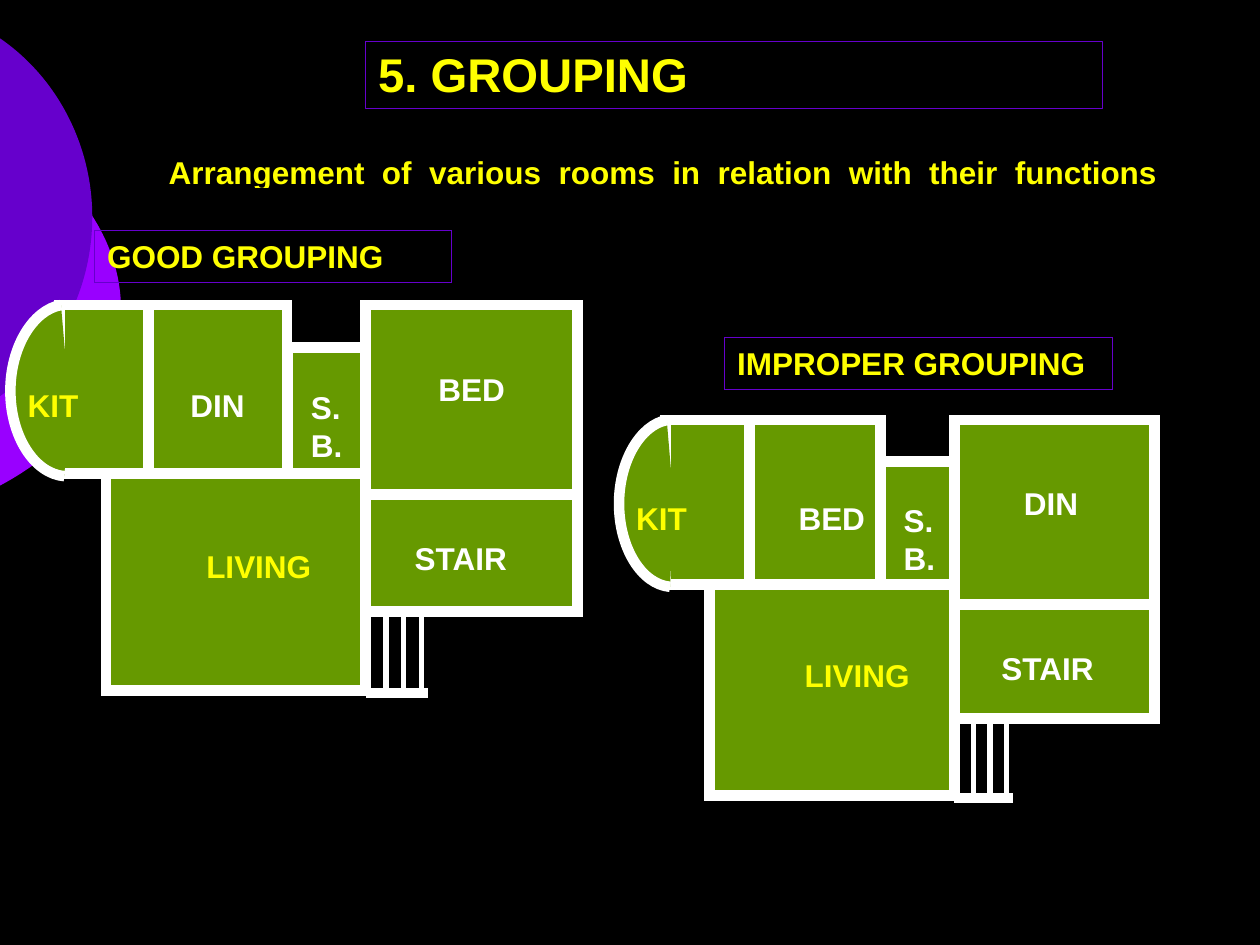
from dataclasses import dataclass

from lxml import etree
from pptx import Presentation
from pptx import util as u
from pptx.dml.color import RGBColor
from pptx.enum import shapes, text
from pptx.oxml import ns


@dataclass(frozen=True)
class Theme:
    font: str = "Arial"
    black: str = "000000"
    white: str = "FFFFFF"
    yellow: str = "FFFF00"
    green: str = "669900"
    purple: str = "6600CC"
    violet: str = "9900FF"
    title: int = 27
    body: int = 18
    wall: float = 6
    tread: float = 3
    frame: float = 0.75


T = Theme()


@dataclass(frozen=True)
class Plan:
    """Place and scale of a floor plan; lengths in cm."""
    left: float
    top: float
    sx: float = 1
    sy: float = 1

    def at(self, x, y):
        return self.left + x * self.sx, self.top + y * self.sy

    def box(self, x, y, w, h):
        return *self.at(x, y), w * self.sx, h * self.sy


# Floor plan in its own coordinates: left, top, width, height
ROOMS = [
    (1.93, 3.40, 5.23, 4.37),  # living
    (2.79, 0, 2.79, 3.40),     # middle room
    (0.99, 0, 1.80, 3.40),     # kitchen
    (7.16, 0, 4.27, 3.83),     # large room
    (7.16, 3.82, 4.27, 2.36),  # stair
    (5.59, 0.86, 1.57, 2.54),  # S.B.
]
BAY = [(1.02, 0), (0.46, 0.10), (0, 0.84), (0, 1.73),
       (0, 2.64), (0.48, 3.40), (1.09, 3.45)]
BAY_CENTRE = (1.17, 1.73)
STEP_LEFT, STEP_RIGHT, STEP_TOP, STEP_BOTTOM = 7.16, 8.41, 6.18, 7.82
TREADS = [7.57, 8.28, 7.92]

# Background discs: colour, box, visible edge inside the box
DISCS = [
    (T.violet, (-8.99, 1.91, 11.43, 8.69),
     [(8.97, 0.78), (10.51, 1.60), (11.43, 2.92), (11.43, 4.34),
      (11.43, 5.76), (10.51, 7.08), (8.97, 7.89)]),
    (T.purple, (-6.73, 0, 8.59, 8.76),
     [(6.71, 0.76), (7.90, 1.57), (8.59, 2.95), (8.59, 4.37),
      (8.59, 5.82), (7.90, 7.19), (6.71, 8.00)]),
]


def rgb(colour):
    return RGBColor.from_string(colour)


def paint(sp, fill=None, line=None, width=T.frame):
    sp.shadow.inherit = False
    if fill:
        sp.fill.solid()
        sp.fill.fore_color.rgb = rgb(fill)
    else:
        sp.fill.background()
    if line:
        sp.line.color.rgb = rgb(line)
        sp.line.width = u.Pt(width)
        ln = sp._element.spPr.find(ns.qn("a:ln"))
        etree.SubElement(ln, ns.qn("a:miter"), lim="800000")
    else:
        sp.line.fill.background()


def write(tf, words, colour, size=T.body):
    r = tf.paragraphs[0].add_run()
    r.text = words
    r.font.name, r.font.size, r.font.bold = T.font, u.Pt(size), True
    r.font.color.rgb = rgb(colour)


def add_rect(s, x, y, w, h, **style):
    sp = s.shapes.add_shape(shapes.MSO_SHAPE.RECTANGLE,
                            u.Cm(x), u.Cm(y), u.Cm(w), u.Cm(h))
    paint(sp, **style)
    return sp


def add_text(s, words, x, y, w, h=1.02, colour=T.yellow):
    sp = s.shapes.add_textbox(u.Cm(x), u.Cm(y), u.Cm(w), u.Cm(h))
    tf = sp.text_frame
    tf.word_wrap = True
    tf.auto_size = text.MSO_AUTO_SIZE.SHAPE_TO_FIT_TEXT
    write(tf, words, colour)
    return sp


def add_heading(s, words, x, y, w):
    sp = add_rect(s, x, y, w, 1.04, line=T.purple)
    tf = sp.text_frame
    tf.word_wrap = True
    tf.vertical_anchor = text.MSO_ANCHOR.TOP
    tf.paragraphs[0].alignment = text.PP_ALIGN.LEFT
    write(tf, words, T.yellow)


def add_line(s, start, end, width):
    ends = [u.Cm(v) for v in (*start, *end)]
    cn = s.shapes.add_connector(shapes.MSO_CONNECTOR.STRAIGHT, *ends)
    cn.line.color.rgb = rgb(T.white)
    cn.line.width = u.Pt(width)
    etree.SubElement(cn._element.spPr, ns.qn("a:effectLst"))


def add_curve(s, box, size, paths, **style):
    """Freeform of Bezier curves; each path is (curve, corners, attributes)."""
    x, y, w, h = (u.Cm(v) for v in box)
    fb = s.shapes.build_freeform(x, y)
    fb.add_line_segments([(x + w, y + h)], close=False)
    sp = fb.convert_to_shape()
    path_list = sp._element.spPr.find(".//" + ns.qn("a:pathLst"))
    path_list.clear()
    w, h = (str(round(v * 100)) for v in size)
    for points, corners, attributes in paths:
        path = etree.SubElement(path_list, ns.qn("a:path"),
                                w=w, h=h, **attributes)
        parts = [("a:moveTo", points[:1])]
        parts += [("a:cubicBezTo", points[i:i + 3])
                  for i in range(1, len(points), 3)]
        parts += [("a:lnTo", [p]) for p in corners]
        for tag, pts in parts:
            part = etree.SubElement(path, ns.qn(tag))
            for px, py in pts:
                etree.SubElement(part, ns.qn("a:pt"), x=str(round(px * 100)),
                                 y=str(round(py * 100)))
        if attributes.get("fill") != "none":
            etree.SubElement(path, ns.qn("a:close"))
    paint(sp, **style)


def add_plan(s, plan, middle, large):
    group = s.shapes.add_group_shape()
    wall = dict(fill=T.green, line=T.white, width=T.wall)

    # Rooms and the rounded kitchen bay
    for i, room in enumerate(ROOMS):
        if i == 3:
            size = (1.17, 3.45)
            add_curve(group, plan.box(0, 0, *size), size,
                      [(BAY, [], {"fill": "none"}),
                       (BAY, [BAY_CENTRE], {"stroke": "0"})], **wall)
        add_rect(group, *plan.box(*room), **wall)

    # Entrance steps
    add_line(group, plan.at(STEP_LEFT, STEP_BOTTOM),
             plan.at(STEP_RIGHT, STEP_BOTTOM), T.wall)
    for x in TREADS:
        add_line(group, plan.at(x, STEP_TOP), plan.at(x, STEP_BOTTOM), T.tread)

    # Room names
    for words, x, y, w, h, colour in [
        ("KIT", 0.10, 1.51, 2.57, 1.02, T.yellow),
        ("LIVING", 3.70, 4.75, 3.07, 1.02, T.yellow),
        (middle, 3.38, 1.51, 2.26, 1.02, T.white),
        (large, 8.38, 1.19, 1.93, 1.02, T.white),
        ("STAIR", 7.90, 4.60, 2.74, 1.02, T.white),
        ("S.B.", 5.81, 1.55, 1.45, 1.78, T.white),
    ]:
        add_text(group, words, *plan.at(x, y), w * plan.sx, h, colour)


def add_title(s, words):
    sp = s.shapes.title
    sp.left, sp.top, sp.width, sp.height = (
        u.Cm(v) for v in (7.37, 0.84, 14.86, 1.35))
    sp.line.color.rgb = rgb(T.purple)
    sp.line.width = u.Pt(T.frame)
    tf = sp.text_frame
    tf.auto_size = text.MSO_AUTO_SIZE.NONE
    tf.vertical_anchor = text.MSO_ANCHOR.BOTTOM
    tf.paragraphs[0].alignment = text.PP_ALIGN.LEFT
    write(tf, words, T.yellow, T.title)


def main():
    prs = Presentation()
    prs.slide_width, prs.slide_height = u.Cm(25.4), u.Cm(19.05)
    s = prs.slides.add_slide(prs.slide_layouts[5])
    s.background.fill.solid()
    s.background.fill.fore_color.rgb = rgb(T.black)

    # Background discs
    discs = s.shapes.add_group_shape()
    for colour, box, edge in DISCS:
        add_curve(discs, box, box[2:], [(edge, [], {})], fill=colour)

    # Title and definition
    add_title(s, "5. GROUPING")
    sp = add_text(s, "Arrangement  of  various  rooms  in  relation  with"
                  "  their  functions", 1.07, 2.97, 24.33)
    sp.text_frame.margin_left = u.Cm(2.33)

    # Floor plans
    add_plan(s, Plan(0.21, 6.15), "DIN", "BED")
    add_plan(s, Plan(12.48, 8.47, 0.944, 0.974), " BED", "DIN")

    # Headings and the band under the definition
    add_heading(s, "GOOD GROUPING", 1.91, 4.65, 7.19)
    add_heading(s, "IMPROPER GROUPING", 14.61, 6.81, 7.82)
    add_rect(s, 3.61, 3.81, 20.96, 0.64, fill=T.black, line=T.black)

    prs.save("out.pptx")


if __name__ == "__main__":
    main()
